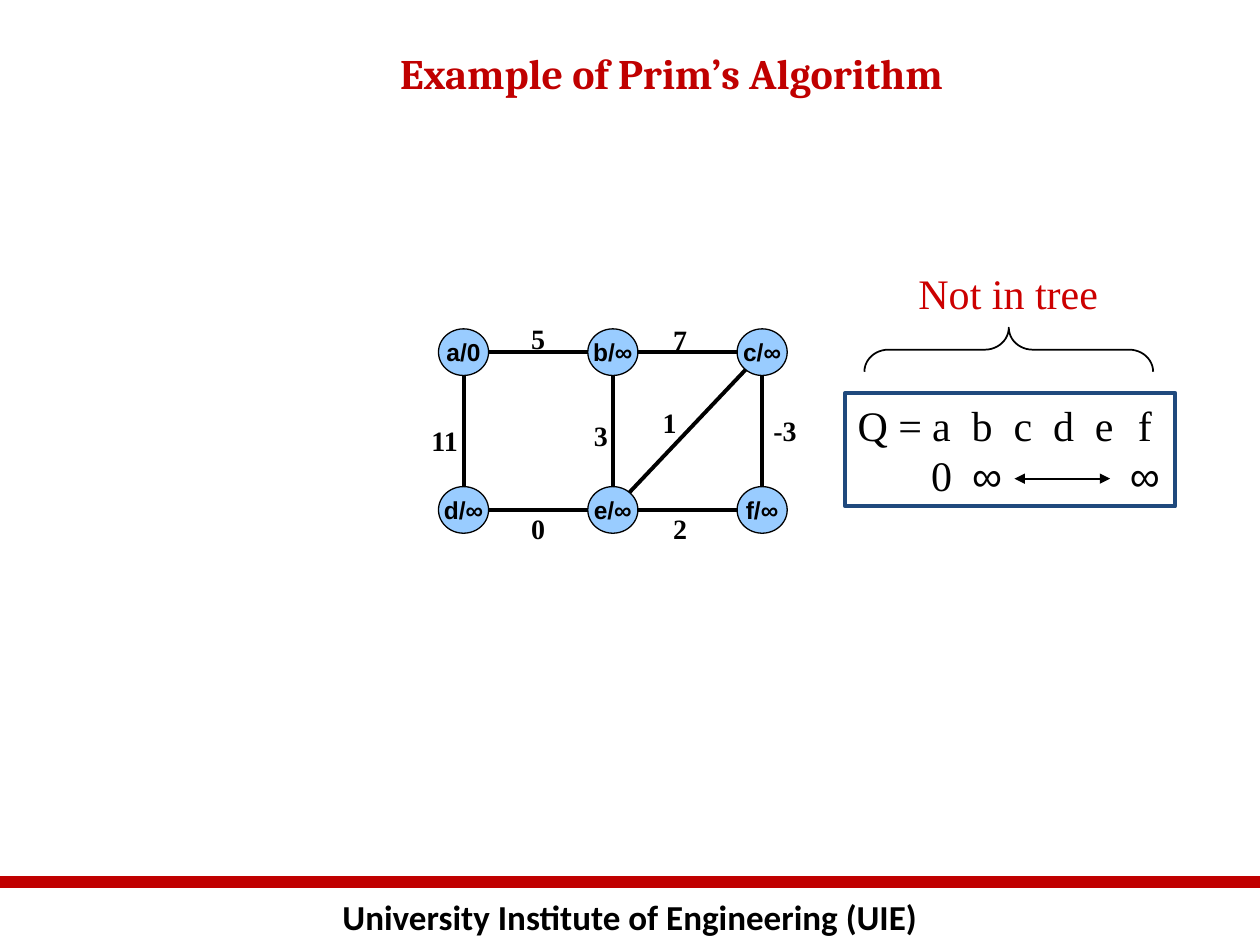
import math

import pptx
import pptx.dml.color
import pptx.enum.shapes
import pptx.enum.text
import pptx.oxml.ns
import pptx.util
from lxml import etree

Cm = pptx.util.Cm
Pt = pptx.util.Pt
Align = pptx.enum.text.PP_ALIGN
Anchor = pptx.enum.text.MSO_ANCHOR
Shape = pptx.enum.shapes.MSO_SHAPE
qn = pptx.oxml.ns.qn

BLACK, RED, NODE_BLUE, FRAME_BLUE = "000000", "C00000", "99CCFF", "1F497D"
LABEL_RED = "CC0000"
NODE_WIDTH, NODE_HEIGHT = 1.01, 0.94
NODES = {
    "a": ("a/0", 0, 0), "b": ("b/∞", 1, 0), "c": ("c/∞", 2, 0),
    "d": ("d/∞", 0, 1), "e": ("e/∞", 1, 1), "f": ("f/∞", 2, 1),
}
EDGES = [
    ("a", "b", "5", 0, -0.28), ("b", "c", "7", -0.15, -0.26),
    ("a", "d", "11", -0.38, 0.19), ("b", "e", "3", -0.24, 0.09),
    ("e", "c", "1", -0.36, -0.17), ("c", "f", "-3", 0.46, 0),
    ("d", "e", "0", 0, 0.38), ("e", "f", "2", -0.15, 0.38),
]


def rgb(value):
    return pptx.dml.color.RGBColor.from_string(value)


def format_text(frame, font, size, color=BLACK, bold=False, align=Align.CENTER):
    for paragraph in frame.paragraphs:
        paragraph.alignment = align
        for run in paragraph.runs:
            run.font.name = font
            run.font.size = Pt(size)
            run.font.bold = bold
            run.font.color.rgb = rgb(color)


def add_label(slide, box, text, font, size, color=BLACK, bold=False):
    label = slide.shapes.add_textbox(*map(Cm, box))
    label.text_frame.word_wrap = False
    label.text_frame.text = text
    format_text(label.text_frame, font, size, color, bold)


def add_line(slide, start, end, color, width, arrows=False):
    line = slide.shapes.add_connector(
        pptx.enum.shapes.MSO_CONNECTOR.STRAIGHT, *map(Cm, (*start, *end)))
    line.line.color.rgb = rgb(color)
    line.line.width = Pt(width)
    if arrows:
        outline = line.line._get_or_add_ln()
        for end_tag in ("a:headEnd", "a:tailEnd"):
            etree.SubElement(outline, qn(end_tag), type="triangle")
    etree.SubElement(line._element.spPr, qn("a:effectLst"))


def add_outlined(slide, preset, box, color, width, fill=None):
    shape = slide.shapes.add_shape(preset, *map(Cm, box))
    shape.shadow.inherit = False
    if fill:
        shape.fill.solid()
        shape.fill.fore_color.rgb = rgb(fill)
    else:
        shape.fill.background()
    shape.line.color.rgb = rgb(color)
    shape.line.width = Pt(width)
    return shape


def set_centred_tabs(paragraph, positions):
    tabs = etree.SubElement(paragraph._p.get_or_add_pPr(), qn("a:tabLst"))
    for position in positions:
        etree.SubElement(tabs, qn("a:tab"), pos=str(Cm(position)), algn="ctr")


def place_title(slide, box):
    title = slide.shapes.title
    title.left, title.top, title.width, title.height = map(Cm, box)
    title.text_frame.text = "Example of Prim’s Algorithm"
    title.text_frame.vertical_anchor = Anchor.TOP
    format_text(title.text_frame, "Cambria", 24, RED, True)


def place_footer(slide, left, top, width, height):
    add_line(slide, (left, top), (left + width, top), RED, 7)
    add_label(slide, (left, top + 0.15, width, height - 0.15),
              "University Institute of Engineering (UIE)", "Calibri", 20, bold=True)


def place_graph(slide, left, top, width, height):
    radius_x, radius_y = NODE_WIDTH / 2, NODE_HEIGHT / 2
    centres = {
        node: (left + radius_x + column * (width - NODE_WIDTH) / 2,
               top + radius_y + row * (height - NODE_HEIGHT))
        for node, (_, column, row) in NODES.items()
    }
    for node, (text, _, _) in NODES.items():
        x, y = centres[node]
        circle = add_outlined(
            slide, Shape.OVAL,
            (x - radius_x, y - radius_y, NODE_WIDTH, NODE_HEIGHT),
            BLACK, 0.75, NODE_BLUE)
        circle.text_frame.word_wrap = False
        circle.text_frame.vertical_anchor = Anchor.MIDDLE
        circle.text_frame.text = text
        format_text(circle.text_frame, "Arial", 14, bold=True)

    label_width, label_height = 1.3, 0.94
    for start, end, weight, shift_x, shift_y in EDGES:
        (x1, y1), (x2, y2) = centres[start], centres[end]
        dx, dy = x2 - x1, y2 - y1
        trim = 1 / math.hypot(dx / radius_x, dy / radius_y)
        add_line(slide, (x1 + dx * trim, y1 + dy * trim),
                 (x2 - dx * trim, y2 - dy * trim), BLACK, 2.25)
        add_label(slide, ((x1 + x2 - label_width) / 2 + shift_x,
                          (y1 + y2 - label_height) / 2 + shift_y,
                          label_width, label_height),
                  weight, "Times New Roman", 16, bold=True)


def place_queue(slide, left, top, width, height):
    add_label(slide, (left, top, width - 0.08, 1.27), "Not in tree",
              "Times New Roman", 24, LABEL_RED)

    depth, span = 0.89, 5.82
    brace = add_outlined(
        slide, Shape.LEFT_BRACE,
        (left + (width - depth) / 2 - 0.03, top + 1.79 - span / 2, depth, span),
        BLACK, 1)
    brace.adjustments[0] = 0.54
    brace.rotation = 90

    frame_top = 2.66
    queue = add_outlined(slide, Shape.RECTANGLE,
                         (left, top + frame_top, width, height - frame_top),
                         FRAME_BLUE, 2.25)
    frame = queue.text_frame
    frame.margin_right = 0
    frame.vertical_anchor = Anchor.TOP
    frame.text = "Q =\ta\tb\tc\td\te\tf\n\t0"
    columns = [1.69 + 0.82 * index for index in range(6)]
    vertices, keys = frame.paragraphs
    set_centred_tabs(vertices, columns)
    set_centred_tabs(keys, [columns[0], columns[1] + 0.1, columns[-1]])
    infinities = keys.add_run()
    infinities.text = "\t∞\t∞"
    format_text(frame, "Times New Roman", 24, align=Align.LEFT)
    infinities.font.name = "Arial"

    add_line(slide, (left + 3.41, top + 4.39), (left + 5.34, top + 4.39),
             BLACK, 1, arrows=True)


def main():
    deck = pptx.Presentation()
    deck.slide_width, deck.slide_height = Cm(25.4), Cm(19.05)
    slide = deck.slides.add_slide(deck.slide_layouts[5])
    place_footer(slide, 0, 17.78, 25.4, 1.27)
    place_title(slide, (2.74, 0.84, 21.59, 2.34))
    place_graph(slide, 8.84, 6.63, 7.03, 4.12)
    place_queue(slide, 17.04, 5.26, 6.65, 4.95)
    deck.save("out.pptx")


if __name__ == "__main__":
    main()
